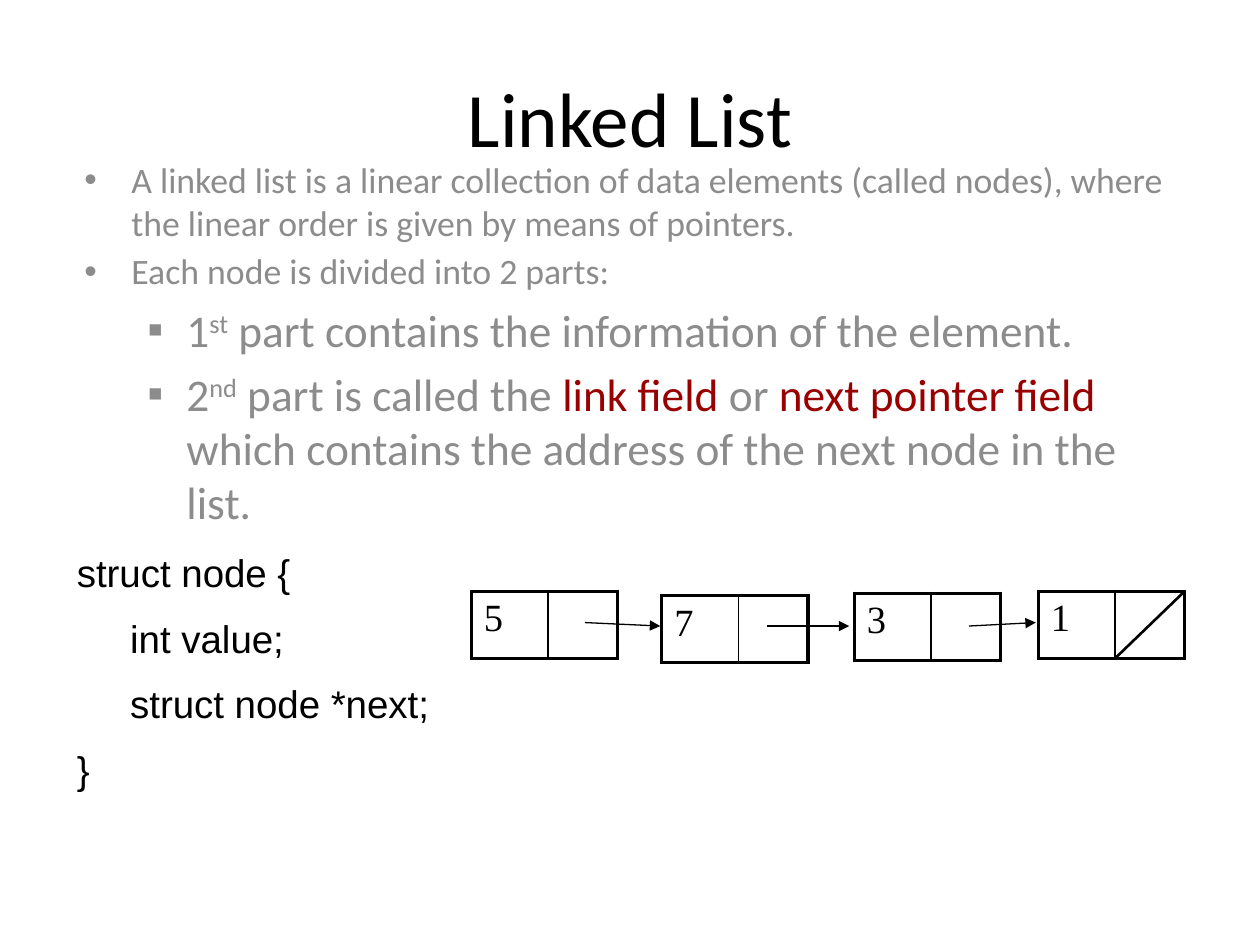
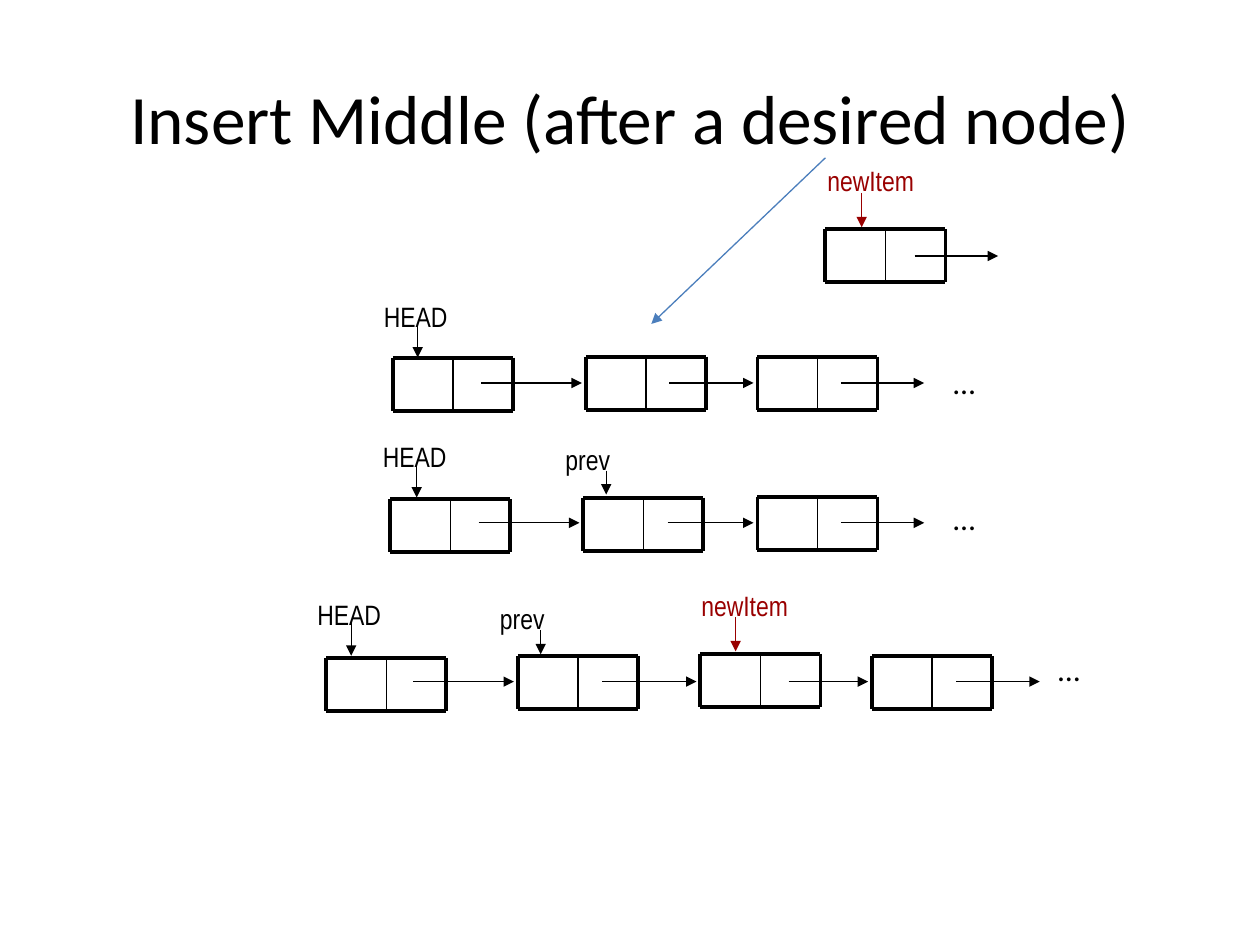
from itertools import zip_longest

from lxml.etree import SubElement
from pptx import Presentation
from pptx.dml.color import RGBColor
from pptx.enum.shapes import MSO_CONNECTOR
from pptx.enum.text import MSO_ANCHOR, PP_ALIGN
from pptx.oxml.ns import qn
from pptx.util import Cm, Pt

COLOURS = {"ink": "000000", "grey": "8C8C8C", "red": "990000", "blue": "4B7EBC"}

# Text runs are (text, colour, superscript); all lengths are in centimetres.
POINTS = [
    (0, [("A linked list is a linear collection of data elements (called nodes), "
          "where the linear order is given by means of pointers.", "grey", False)]),
    (0, [("Each node is divided into 2 parts:", "grey", False)]),
    (1, [("1", "grey", False), ("st", "grey", True),
         (" part contains the information of the element.", "grey", False)]),
    (1, [("2", "grey", False), ("nd", "grey", True),
         (" part is called the ", "grey", False), ("link field", "red", False),
         (" or ", "grey", False), ("next pointer field ", "red", False),
         ("which contains the address of the next node in the list.", "grey", False)]),
]
LEVELS = [
    {"bullet": "•", "margin": 0.95, "hang": 0.95, "size": 20.4, "before": 3.5},
    {"bullet": "▪", "margin": 2.06, "hang": 0.79, "size": 25.9, "before": 5.5},
]
STRUCT_CODE = ["struct node {", "     int value;", "     struct node *next;", "}"]

VALUE_NODES = [("5", 9.5, 11.92), ("7", 13.34, 12.01), ("3", 17.22, 11.96), ("1", 20.93, 11.92)]
VALUE_WIDTH, POINTER_WIDTH, VALUE_NODE_HEIGHT = 1.55, 1.4, 1.35
VALUE_LINKS = [
    ((11.79, 12.55), (13.31, 12.62)),
    ((15.47, 12.62), (17.12, 12.62)),
    ((19.53, 12.62), (20.88, 12.55)),
]

# Each chain: height of its links, then nodes as (left, top, where the link starts in the node).
CHAINS = [
    (5.16, [(16.64, 4.62, 1.8)]),
    (7.72, [(7.92, 7.21, 1.78), (11.81, 7.19, 1.68), (15.27, 7.19, 1.68)]),
    (10.54, [(7.87, 10.06, 1.78), (11.76, 10.03, 1.7), (15.27, 10.01, 1.68)]),
    (13.74, [(6.58, 13.26, 1.75), (10.44, 13.23, 1.7), (14.12, 13.18, 1.78),
             (17.58, 13.23, 1.7)]),
]
NODE_WIDTH, NODE_HEIGHT = 2.42, 1.07
LAST_LINK, LINK_GAP = 1.68, 0.08
ELLIPSES = [(18.97, 7.19), (18.97, 9.93), (21.08, 12.98)]
POINTERS = {
    "HEAD": {"colour": "ink", "width": 1.98, "dx": 0.93, "dy": 0.6, "drop": 0.69,
             "places": [(7.49, 5.92), (7.47, 8.74), (6.15, 11.93)]},
    "prev": {"colour": "ink", "width": 1.98, "dx": 1.07, "dy": 0.7, "drop": 0.48,
             "places": [(11.15, 8.79), (9.83, 12.01)]},
    "newItem": {"colour": "red", "width": 2.74, "dx": 0.94, "dy": 0.71, "drop": 0.69,
                "places": [(16.43, 3.18), (13.89, 11.73)]},
}
INSERT_HINT = ((16.64, 3.18), (13.13, 6.53))


def rgb(colour):
    return RGBColor.from_string(COLOURS[colour])


def style_font(font, face, size, colour):
    font.name, font.size = face, Pt(size)
    font.color.rgb = rgb(colour)


def add_text(slide, text, left, top, width, height, *, face="Calibri", size=18, colour="ink",
             align=PP_ALIGN.LEFT, anchor=MSO_ANCHOR.TOP, before=0, wrap=True):
    """Add a text box with one paragraph for each line of text."""
    frame = slide.shapes.add_textbox(Cm(left), Cm(top), Cm(width), Cm(height)).text_frame
    frame.word_wrap, frame.vertical_anchor = wrap, anchor
    for index, line in enumerate(text.split("\n")):
        paragraph = frame.paragraphs[0] if index == 0 else frame.add_paragraph()
        paragraph.alignment = align
        if index:
            paragraph.space_before = Pt(before)
        run = paragraph.add_run()
        run.text = line
        style_font(run.font, face, size, colour)


def add_title(slide, text, size):
    add_text(slide, text, 1.91, 0.76, 21.59, 3.18, size=size,
             align=PP_ALIGN.CENTER, anchor=MSO_ANCHOR.MIDDLE)


def add_line(slide, start, end, colour="ink", weight=0.75, arrow=True):
    line = slide.shapes.add_connector(MSO_CONNECTOR.STRAIGHT, *map(Cm, start + end))
    line.line.color.rgb = rgb(colour)
    line.line.width = Pt(weight)
    if arrow:
        SubElement(line.line._get_or_add_ln(), qn("a:tailEnd"), type="triangle")
    SubElement(line._element.spPr, qn("a:effectLst"))


def add_points(slide):
    frame = slide.shapes.add_textbox(Cm(1.45), Cm(3.05), Cm(22.45), Cm(7.06)).text_frame
    frame.word_wrap = True
    for index, (depth, runs) in enumerate(POINTS):
        level = LEVELS[depth]
        paragraph = frame.paragraphs[0] if index == 0 else frame.add_paragraph()
        if index:
            paragraph.space_before = Pt(level["before"])
        properties = paragraph._p.get_or_add_pPr()
        properties.set("marL", str(Cm(level["margin"])))
        properties.set("indent", str(-Cm(level["hang"])))
        SubElement(properties, qn("a:buFont"), typeface="Arial")
        SubElement(properties, qn("a:buChar"), char=level["bullet"])
        for text, colour, superscript in runs:
            run = paragraph.add_run()
            run.text = text
            style_font(run.font, "Calibri", level["size"], colour)
            if superscript:
                run.font._element.set("baseline", "30000")


def set_borders(cell, weights):
    properties = cell._tc.get_or_add_tcPr()
    for position, (side, weight) in enumerate(weights.items()):
        border = SubElement(properties, qn(f"a:ln{side}"), w=str(Pt(weight)))
        SubElement(SubElement(border, qn("a:solidFill")), qn("a:srgbClr"), val=COLOURS["ink"])
        properties.insert(position, border)


def add_value_node(slide, value, left, top):
    table = slide.shapes.add_table(1, 2, Cm(left), Cm(top), Cm(VALUE_WIDTH + POINTER_WIDTH),
                                   Cm(VALUE_NODE_HEIGHT)).table
    table.first_row = table.horz_banding = False
    for column, width in zip(table.columns, (VALUE_WIDTH, POINTER_WIDTH)):
        column.width = Cm(width)
    value_cell, pointer_cell = table.cell(0, 0), table.cell(0, 1)
    value_cell.text = value
    style_font(value_cell.text_frame.paragraphs[0].runs[0].font, "Times New Roman", 22, "ink")
    for cell in (value_cell, pointer_cell):
        cell.fill.background()
    set_borders(value_cell, {"L": 2.25, "R": 1, "T": 2.25, "B": 2.25})
    set_borders(pointer_cell, {"L": 1, "R": 2.25, "T": 2.25, "B": 2.25})


def add_node(slide, left, top):
    """Rule a two-field node: two long edges, two short edges and a thin divider."""
    right, bottom = left + NODE_WIDTH, top + NODE_HEIGHT
    for y in (top, bottom):
        add_line(slide, (left, y), (right, y), weight=2.25, arrow=False)
    for x, weight in ((left, 2.25), ((left + right) / 2, 1), (right, 2.25)):
        add_line(slide, (x, top), (x, bottom), weight=weight, arrow=False)


def add_chain(slide, link_top, nodes):
    for (left, top, link), following in zip_longest(nodes, nodes[1:]):
        add_node(slide, left, top)
        start = left + link
        end = following[0] - LINK_GAP if following else start + LAST_LINK
        add_line(slide, (start, link_top), (end, link_top))


def build_linked_list(slide):
    add_title(slide, "Linked List", 44)
    add_points(slide)
    add_text(slide, "\n".join(STRUCT_CODE), 1.3, 10.95, 8.23, 5.38,
             face="Arial", size=22, before=11)
    for value, left, top in VALUE_NODES:
        add_value_node(slide, value, left, top)
    for start, end in VALUE_LINKS:
        add_line(slide, start, end)
    _, left, top = VALUE_NODES[-1]
    pointer_left = left + VALUE_WIDTH
    add_line(slide, (pointer_left, top + VALUE_NODE_HEIGHT), (pointer_left + POINTER_WIDTH, top),
             weight=1.5, arrow=False)


def build_insert_middle(slide):
    add_title(slide, "Insert Middle (after a desired node)", 39.6)
    for link_top, nodes in CHAINS:
        add_chain(slide, link_top, nodes)
    for left, top in ELLIPSES:
        add_text(slide, "…", left, top, 0.97, 1.02, wrap=False)
    for name, pointer in POINTERS.items():
        for left, top in pointer["places"]:
            add_text(slide, name, left, top, pointer["width"], 0.94,
                     face="Arial Narrow", size=16, colour=pointer["colour"])
            x, y = left + pointer["dx"], top + pointer["dy"]
            add_line(slide, (x, y), (x, y + pointer["drop"]), pointer["colour"])
    add_line(slide, *INSERT_HINT, colour="blue")


def main():
    deck = Presentation()
    deck.slide_width, deck.slide_height = Cm(25.4), Cm(19.05)
    for build in (build_linked_list, build_insert_middle):
        build(deck.slides.add_slide(deck.slide_layouts[6]))
    deck.save("out.pptx")


if __name__ == "__main__":
    main()
